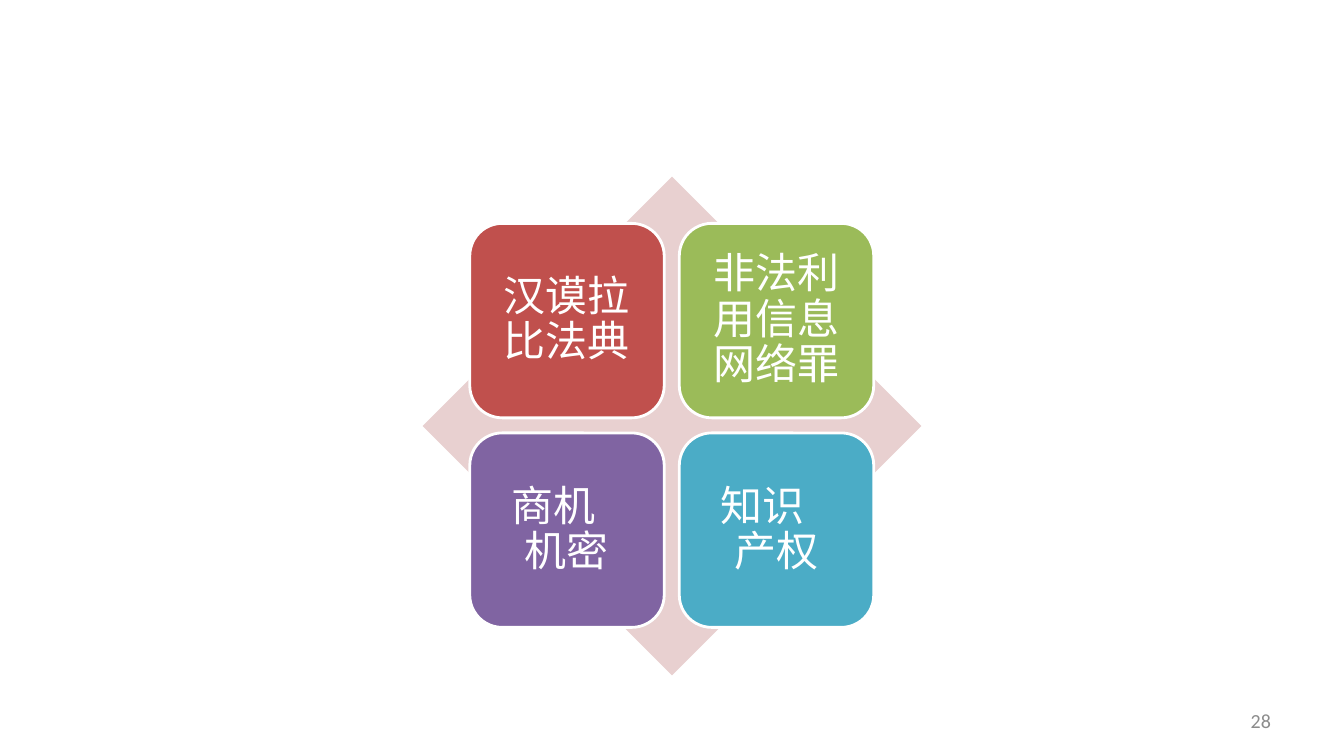
from pptx import Presentation
from pptx.dml.color import RGBColor
from pptx.enum.shapes import MSO_SHAPE
from pptx.enum.text import MSO_ANCHOR, PP_ALIGN
from pptx.util import Cm, Pt

WHITE = RGBColor(0xFF, 0xFF, 0xFF)
GRAY = RGBColor(0x8C, 0x8C, 0x8C)
PINK = RGBColor(0xE8, 0xD0, 0xD0)
RED = RGBColor(0xC0, 0x50, 0x4D)
GREEN = RGBColor(0x9B, 0xBB, 0x59)
PURPLE = RGBColor(0x80, 0x64, 0xA2)
TEAL = RGBColor(0x4B, 0xAC, 0xC6)

TILES = [
    (["汉谟拉比法典"], RED),
    (["非法利用信息网络罪"], GREEN),
    (["商机", "机密"], PURPLE),
    (["知识", "产权"], TEAL),
]
TILE_LEFT, TILE_TOP, TILE_SIZE, TILE_PITCH = 11.84, 5.63, 4.9, 5.28
STEP_INDENTS = [0.51, 0.85]


class MatrixSlide:
    """Holds the slide and its style and draws each kind of element."""

    font = "Calibri"

    def __init__(self, prs):
        self.s = prs.slides.add_slide(prs.slide_layouts[6])

    def shape(self, kind, left, top, size, color):
        sp = self.s.shapes.add_shape(kind, Cm(left), Cm(top), Cm(size), Cm(size))
        sp.shadow.inherit = False
        sp.fill.solid()
        sp.fill.fore_color.rgb = color
        sp.line.fill.background()
        return sp

    def set_text(self, sp, lines, size, color, align, inset_x, inset_y):
        tf = sp.text_frame
        tf.word_wrap = True
        tf.vertical_anchor = MSO_ANCHOR.MIDDLE
        tf.margin_left = tf.margin_right = Cm(inset_x)
        tf.margin_top = tf.margin_bottom = Cm(inset_y)
        tf.text = "\n".join(lines)
        for p in tf.paragraphs:
            p.alignment = align
            for r in p.runs:
                r.font.name = self.font
                r.font.size = Pt(size)
                r.font.color.rgb = color
        return tf

    def tile(self, left, top, lines, color):
        sp = self.shape(MSO_SHAPE.ROUNDED_RECTANGLE, left, top, TILE_SIZE, color)
        sp.line.color.rgb = WHITE
        sp.line.width = Pt(2)
        stepped = len(lines) > 1
        align = PP_ALIGN.LEFT if stepped else PP_ALIGN.CENTER
        tf = self.set_text(sp, lines, 30, WHITE, align, 0.3, 0.3)
        for p, indent in zip(tf.paragraphs, STEP_INDENTS):
            p.line_spacing = 0.9
            if stepped:
                p._p.get_or_add_pPr().set("marL", str(Cm(indent)))

    def page_number(self, number):
        sp = self.s.shapes.add_textbox(Cm(24.28), Cm(17.65), Cm(7.9), Cm(1.02))
        self.set_text(sp, [number], 14.3, GRAY, PP_ALIGN.RIGHT, 0.15, 0.08)


def main():
    prs = Presentation()
    prs.slide_width, prs.slide_height = Cm(33.87), Cm(19.05)
    slide = MatrixSlide(prs)
    slide.shape(MSO_SHAPE.DIAMOND, 10.65, 4.45, 12.57, PINK)
    for i, (lines, color) in enumerate(TILES):
        row, col = divmod(i, 2)
        slide.tile(TILE_LEFT + col * TILE_PITCH, TILE_TOP + row * TILE_PITCH, lines, color)
    slide.page_number("28")
    prs.save("out.pptx")


if __name__ == "__main__":
    main()
